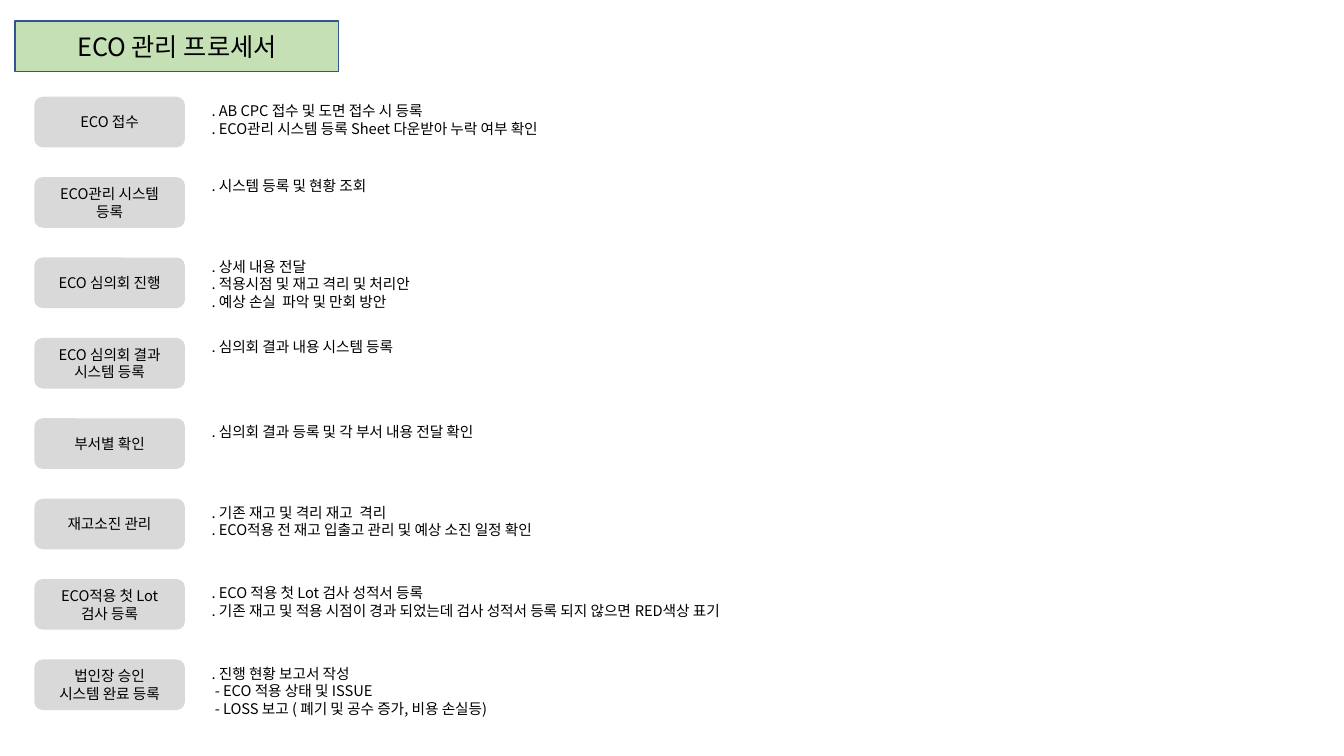
from dataclasses import dataclass

from lxml.etree import SubElement
from pptx import Presentation
from pptx.dml.color import RGBColor
from pptx.enum.shapes import MSO_SHAPE
from pptx.enum.text import MSO_ANCHOR, MSO_AUTO_SIZE, PP_ALIGN
from pptx.oxml.ns import qn
from pptx.util import Inches, Pt

BLACK = RGBColor(0x00, 0x00, 0x00)
GREEN = RGBColor(0xC5, 0xE0, 0xB4)
NAVY = RGBColor(0x32, 0x54, 0x91)
GRAY = RGBColor(0xD9, 0xD9, 0xD9)
FONT = "Noto Sans CJK KR"
STEP_SIZE = 10.5
LINE_SHARE = 0.22
PADDING_SHARE = 0.13

TITLE = "ECO 관리 프로세서"
STEPS = [
    (["ECO 접수"], 0, 0.54,
     [". AB CPC 접수 및 도면 접수 시 등록",
      ". ECO관리 시스템 등록 Sheet 다운받아 누락 여부 확인"]),
    (["ECO관리 시스템", "등록"], -0.06, 0.54,
     [". 시스템 등록 및 현황 조회"]),
    (["ECO 심의회 진행"], -0.06, 0.54,
     [". 상세 내용 전달",
      ". 적용시점 및 재고 격리 및 처리안",
      ". 예상 손실  파악 및 만회 방안"]),
    (["ECO 심의회 결과", "시스템 등록"], -0.06, 0.54,
     [". 심의회 결과 내용 시스템 등록"]),
    (["부서별 확인"], 0, 0.54,
     [". 심의회 결과 등록 및 각 부서 내용 전달 확인"]),
    (["재고소진 관리"], 0, 0.54,
     [". 기존 재고 및 격리 재고  격리",
      ". ECO적용 전 재고 입출고 관리 및 예상 소진 일정 확인"]),
    (["ECO적용 첫 Lot", "검사 등록"], 0, 0.76,
     [". ECO 적용 첫 Lot 검사 성적서 등록",
      ". 기존 재고 및 적용 시점이 경과 되었는데 검사 성적서 등록 되지 않으면 RED색상 표기"]),
    (["법인장 승인", "시스템 완료 등록"], 0, 0.54,
     [". 진행 현황 보고서 작성",
      " - ECO 적용 상태 및 ISSUE",
      " - LOSS 보고 ( 폐기 및 공수 증가, 비용 손실등)"]),
]


@dataclass
class Box:
    left: int
    top: int
    width: int
    height: int

    def share(self, left, top, width, height):
        return Box(int(self.left + left * self.width),
                   int(self.top + top * self.height),
                   int(width * self.width), int(height * self.height))

    def bounds(self):
        return self.left, self.top, self.width, self.height


def write(frame, lines, size, align, anchor):
    frame.word_wrap = True
    frame.vertical_anchor = anchor
    for number, line in enumerate(lines):
        paragraph = frame.add_paragraph() if number else frame.paragraphs[0]
        paragraph.alignment = align
        run = paragraph.add_run()
        run.text = line
        run.font.size = Pt(size)
        run.font.color.rgb = BLACK
        run.font.name = FONT
        SubElement(run.font._element, qn("a:ea")).set("typeface", FONT)


def add_heading(slide, box):
    heading = slide.shapes.title
    heading.left, heading.top, heading.width, heading.height = box.bounds()
    heading.fill.solid()
    heading.fill.fore_color.rgb = GREEN
    heading.line.color.rgb = NAVY
    heading.line.width = Pt(1)
    heading.text_frame.auto_size = MSO_AUTO_SIZE.NONE
    write(heading.text_frame, [TITLE], 18, PP_ALIGN.CENTER, MSO_ANCHOR.MIDDLE)


def add_step(slide, box, label, shift, detail_width, details):
    card = slide.shapes.add_shape(MSO_SHAPE.ROUNDED_RECTANGLE,
                                  *box.share(0, 0, 0.18, 0.63).bounds())
    card.shadow.inherit = False
    card.fill.solid()
    card.fill.fore_color.rgb = GRAY
    card.line.fill.background()
    write(card.text_frame, label, STEP_SIZE, PP_ALIGN.CENTER, MSO_ANCHOR.MIDDLE)

    detail_height = PADDING_SHARE + LINE_SHARE * len(details)
    detail_box = box.share(0.2, shift, detail_width, detail_height)
    detail = slide.shapes.add_textbox(*detail_box.bounds())
    write(detail.text_frame, details, STEP_SIZE, PP_ALIGN.LEFT, MSO_ANCHOR.TOP)
    detail.text_frame.auto_size = MSO_AUTO_SIZE.SHAPE_TO_FIT_TEXT


def add_process(slide, box):
    row_share = 1 / len(STEPS)
    for row, step in enumerate(STEPS):
        add_step(slide, box.share(0, row * row_share, 1, row_share), *step)


def main():
    deck = Presentation()
    deck.slide_width, deck.slide_height = Inches(13.33), Inches(7.5)
    slide = deck.slides.add_slide(deck.slide_layouts[5])
    add_heading(slide, Box(Inches(0.15), Inches(0.21), Inches(3.21), Inches(0.5)))
    add_process(slide, Box(Inches(0.34), Inches(0.96), Inches(8.3), Inches(6.38)))
    deck.save("out.pptx")


if __name__ == "__main__":
    main()
